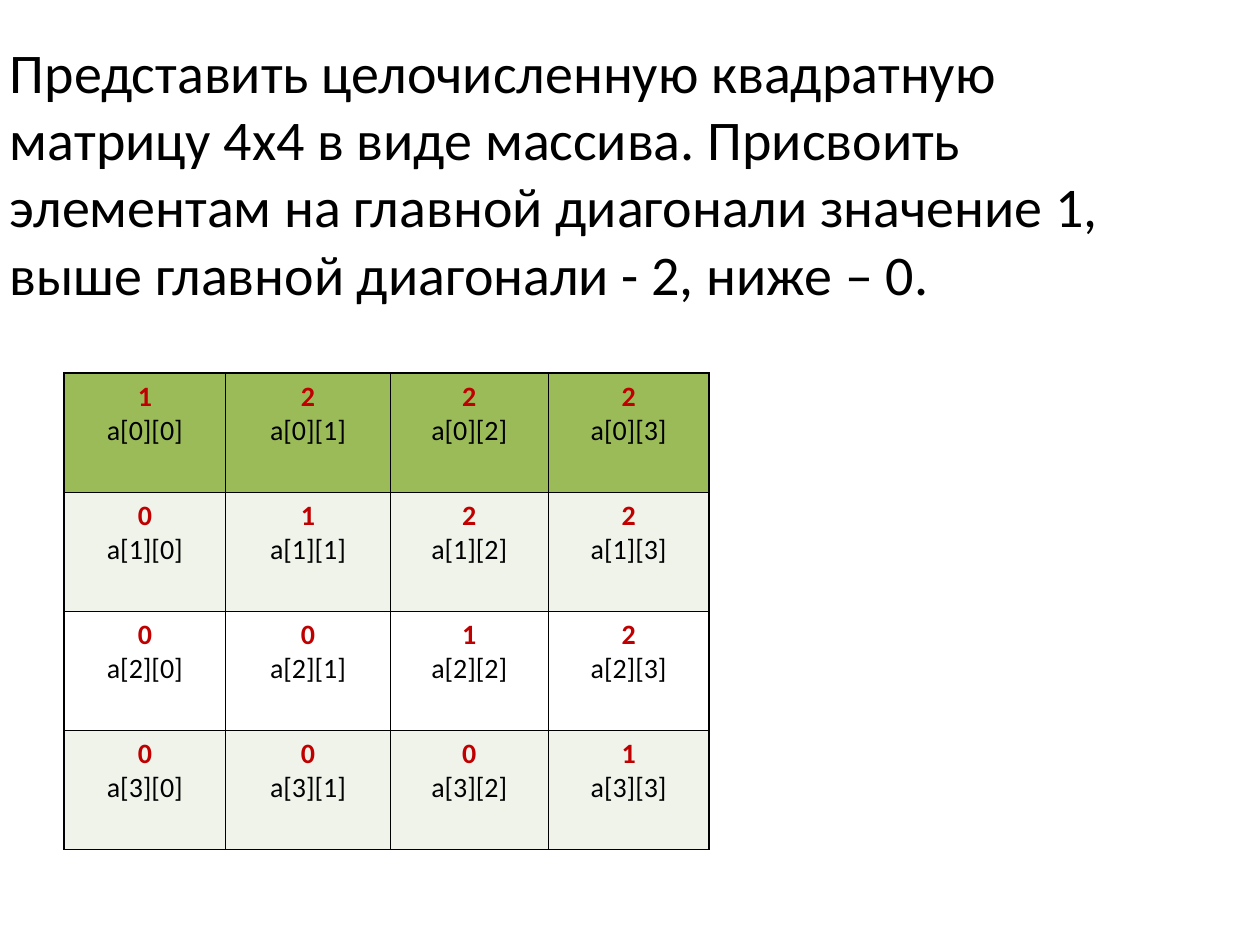
from dataclasses import dataclass

from lxml import etree
from pptx import Presentation, util as u
from pptx.dml.color import RGBColor
from pptx.enum import text
from pptx.oxml.ns import qn

SLIDE_W, SLIDE_H = u.Inches(10), u.Inches(7.5)
SIZE = 4
COLUMN_SHARES = (0.128, 0.131, 0.125, 0.128)
ROW_SHARE = 0.126
TASK = (
    "Представить целочисленную квадратную матрицу 4х4 в виде массива. "
    "Присвоить элементам на главной диагонали значение 1, "
    "выше главной диагонали - 2, ниже – 0."
)


@dataclass(frozen=True)
class Theme:
    font: str = "Calibri"
    ink: str = "000000"
    value: str = "C00000"
    header: str = "9BBB59"
    bands: tuple[str, str] = ("FFFFFF", "EFF3EA")
    task_size: float = 32
    cell_size: float = 16
    inner_line: float = 0.45
    outer_line: float = 1.08


@dataclass(frozen=True)
class Box:
    """Position and size as shares of the slide."""
    x: float
    y: float
    w: float
    h: float

    def emu(self) -> tuple[int, int, int, int]:
        return (int(self.x * SLIDE_W), int(self.y * SLIDE_H),
                int(self.w * SLIDE_W), int(self.h * SLIDE_H))


@dataclass(frozen=True)
class Element:
    row: int
    col: int

    @property
    def value(self) -> str:
        if self.row == self.col:
            return "1"
        return "2" if self.col > self.row else "0"

    @property
    def name(self) -> str:
        return f"a[{self.row}][{self.col}]"


THEME = Theme()


def add_run(p, words: str, size: float, color: str, bold: bool = False) -> None:
    r = p.add_run()
    r.text = words
    r.font.name = THEME.font
    r.font.size = u.Pt(size)
    r.font.bold = bold
    r.font.color.rgb = RGBColor.from_string(color)


def set_borders(cell, element: Element) -> None:
    """Draw thick lines on the matrix edge and thin ones inside."""
    last = SIZE - 1
    on_edge = {"lnL": element.col == 0, "lnR": element.col == last,
               "lnT": element.row == 0, "lnB": element.row == last}
    tc_pr = cell._tc.get_or_add_tcPr()
    for tag, outer in on_edge.items():
        width = THEME.outer_line if outer else THEME.inner_line
        line = etree.SubElement(tc_pr, qn(f"a:{tag}"), w=str(u.Pt(width)))
        fill = etree.SubElement(line, qn("a:solidFill"))
        etree.SubElement(fill, qn("a:srgbClr"), val=THEME.ink)


def fill_cell(cell, element: Element) -> None:
    set_borders(cell, element)
    color = THEME.bands[element.row % 2] if element.row else THEME.header
    cell.fill.solid()
    cell.fill.fore_color.rgb = RGBColor.from_string(color)
    tf = cell.text_frame
    value, name = tf.paragraphs[0], tf.add_paragraph()
    value.alignment = name.alignment = text.PP_ALIGN.CENTER
    add_run(value, element.value, THEME.cell_size, THEME.value, bold=True)
    add_run(name, element.name, THEME.cell_size, THEME.ink)


def add_matrix(s, box: Box) -> None:
    table = s.shapes.add_table(SIZE, SIZE, *box.emu()).table
    table.first_row = table.horz_banding = False
    for column, share in zip(table.columns, COLUMN_SHARES):
        column.width = int(share * SLIDE_W)
    for i, row in enumerate(table.rows):
        row.height = int(ROW_SHARE * SLIDE_H)
        for j, cell in enumerate(row.cells):
            fill_cell(cell, Element(i, j))


def add_task(s, box: Box) -> None:
    tf = s.shapes.add_textbox(*box.emu()).text_frame
    tf.word_wrap = True
    tf.auto_size = text.MSO_AUTO_SIZE.SHAPE_TO_FIT_TEXT
    add_run(tf.paragraphs[0], TASK, THEME.task_size, THEME.ink)


def main() -> None:
    prs = Presentation()
    prs.slide_width, prs.slide_height = SLIDE_W, SLIDE_H
    s = prs.slides.add_slide(prs.slide_layouts[6])
    add_matrix(s, Box(0.051, 0.395, sum(COLUMN_SHARES), SIZE * ROW_SHARE))
    add_task(s, Box(-0.002, 0.033, 0.962, 0.299))
    prs.save("out.pptx")


if __name__ == "__main__":
    main()
